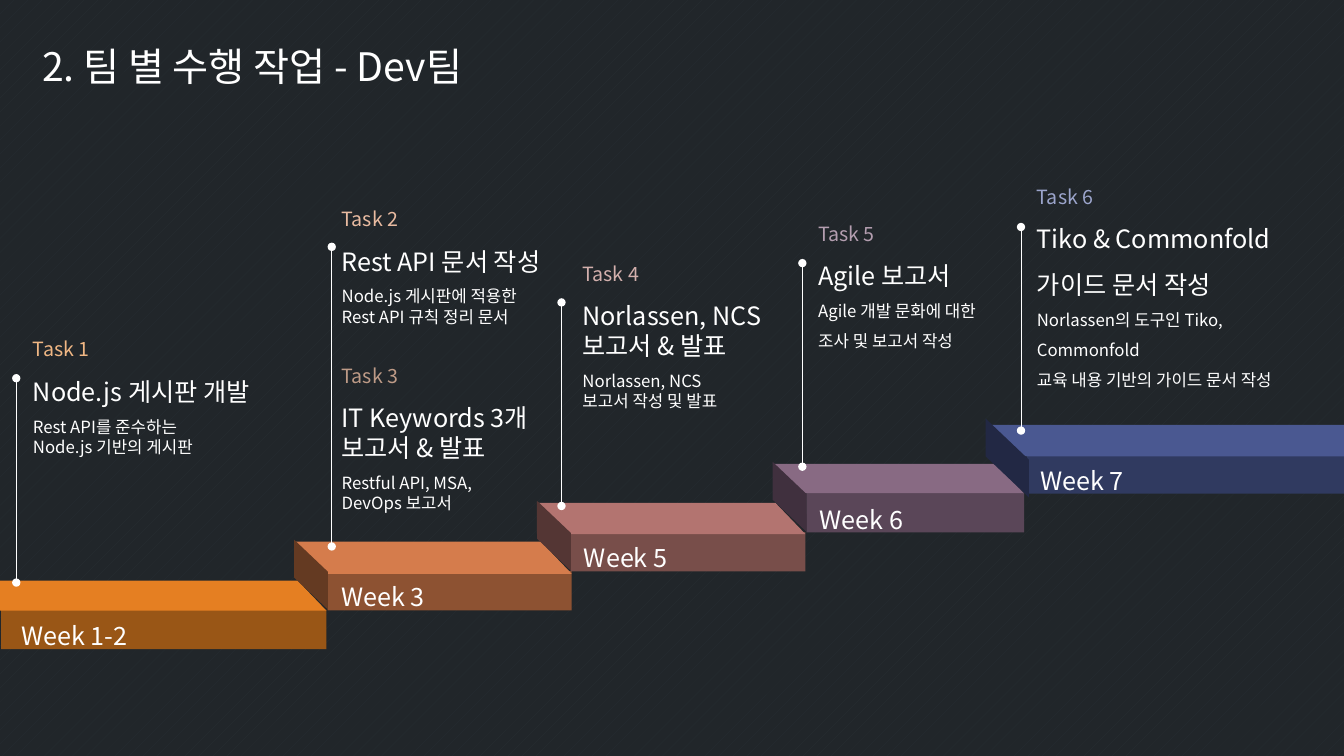
from pptx import Presentation
from pptx.dml.color import RGBColor
from pptx.enum.dml import MSO_PATTERN
from pptx.enum.shapes import MSO_CONNECTOR, MSO_SHAPE
from pptx.enum.text import MSO_AUTO_SIZE, PP_ALIGN
from pptx.oxml.ns import qn
from pptx.util import Cm, Pt
from lxml.etree import SubElement

COLORS = {
    "dots": "282F34", "back": "21262A", "white": "FFFFFF",
    "Task 1": "F0B784", "Task 2": "E9BBA1", "Task 3": "BE9B87",
    "Task 4": "D3B0AD", "Task 5": "B49EB0", "Task 6": "9CA5CC",
}
FONT = "Noto Sans CJK KR"
LOOSE = 1.5

FIRST_TOP, RISE = 15.37, 0.98
FRONT_HEIGHT, PLATE_RISE = 0.99, 0.74
# week, left, width, lead of the plate, plate height, label offset, front / plate / side colours
STEPS = [
    ("Week 1-2", 0.03, 8.20, 0.84, 0.76, 0.10, "995616", "E57F22", None),
    ("Week 3", 8.26, 6.15, 0.84, 0.81, -0.35, "8D5232", "D57C4C", "643A22"),
    ("Week 5", 14.38, 5.92, 0.84, 0.79, -0.35, "784E4A", "B37470", "543634"),
    ("Week 6", 20.32, 5.49, 0.84, 0.74, -0.35, "5A4658", "886A83", "40303E"),
    ("Week 7", 25.88, 8.94, 0.99, 0.79, -0.35, "303A60", "4A5891", "222844"),
]
# name, box, headline lines, detail lines, whether every line is loose
TASKS = [
    ("Task 1", (0.58, 8.08, 6.6, 3.58), ["Node.js 게시판 개발"],
     ["Rest API를 준수하는", "Node.js 기반의 게시판"], False),
    ("Task 2", (8.36, 4.8, 6.45, 3.58), ["Rest API 문서 작성"],
     ["Node.js 게시판에 적용한", "Rest API 규칙 정리 문서"], False),
    ("Task 3", (8.36, 8.74, 6.88, 4.37), ["IT Keywords 3개", "보고서 & 발표"],
     ["Restful API, MSA,", "DevOps 보고서"], False),
    ("Task 4", (14.43, 6.17, 6.6, 4.37), ["Norlassen, NCS", "보고서 & 발표"],
     ["Norlassen, NCS", "보고서 작성 및 발표"], False),
    ("Task 5", (20.37, 5.16, 6.6, 3.84), ["Agile 보고서"],
     ["Agile 개발 문화에 대한", "조사 및 보고서 작성"], True),
    ("Task 6", (25.88, 4.24, 7.01, 5.0), ["Tiko & Commonfold", "가이드 문서 작성"],
     ["Norlassen의 도구인 Tiko, Commonfold", "교육 내용 기반의 가이드 문서 작성"], True),
]
# x, bottom, top
PINS = [
    (8.36, 13.77, 6.22), (25.73, 10.85, 5.72), (20.22, 11.76, 6.63),
    (14.15, 12.75, 7.62), (0.41, 14.68, 9.53),
]


def set_all(target, values):
    for name, value in values.items():
        setattr(target, name, value)


class Stairway:
    """Holds the page and draws each kind of element in one style."""

    def __init__(self, page):
        self.page = page

    def background(self):
        fill = self.page.background.fill
        fill.patterned()
        fill.pattern = MSO_PATTERN.PERCENT_5
        fill.fore_color.rgb = RGBColor.from_string(COLORS["dots"])
        fill.back_color.rgb = RGBColor.from_string(COLORS["back"])

    def text(self, area, lines, align=None):
        """Lines are tuples of text, size, colour name and line spacing."""
        box = self.page.shapes.add_textbox(*map(Cm, area))
        frame = box.text_frame
        set_all(frame, {"word_wrap": True, "auto_size": MSO_AUTO_SIZE.SHAPE_TO_FIT_TEXT})
        for number, (words, size, color, spacing) in enumerate(lines):
            para = frame.add_paragraph() if number else frame.paragraphs[0]
            set_all(para, {"alignment": align, "line_spacing": spacing})
            span = para.add_run()
            span.text = words
            set_all(span.font, {"name": FONT, "size": Pt(size)})
            span.font.color.rgb = RGBColor.from_string(COLORS[color])
            SubElement(span.font._element, qn("a:ea"), typeface=FONT)

    def solid(self, group, kind, area, color):
        shape = group.shapes.add_shape(kind, *map(Cm, area))
        shape.shadow.inherit = False
        shape.fill.solid()
        shape.fill.fore_color.rgb = RGBColor.from_string(color)
        shape.line.fill.background()
        return shape

    def slanted(self, group, area, color, slant, turn=0):
        shape = self.solid(group, MSO_SHAPE.PARALLELOGRAM, area, color)
        shape.adjustments[0] = slant
        shape.rotation = turn
        shape._element.spPr.find(qn("a:xfrm")).set("flipH", "1")

    def step(self, left, top, width, lead, plate_height, front, plate, side):
        group = self.page.shapes.add_group_shape()
        self.solid(group, MSO_SHAPE.RECTANGLE, (left, top, width, FRONT_HEIGHT), front)
        self.slanted(group, (left - lead, top - PLATE_RISE, width + lead, plate_height),
                     plate, 0.96)
        if side:
            length, depth = lead * 2.18, 0.69
            middle_x, middle_y = left - lead / 2, top + 0.09
            self.slanted(group, (middle_x - length / 2, middle_y - depth / 2, length, depth),
                         side, 0.95, 43.5)

    def pin(self, x, bottom, top):
        pin = self.page.shapes.add_connector(
            MSO_CONNECTOR.STRAIGHT, Cm(x), Cm(bottom), Cm(x), Cm(top))
        pin.line.width = Pt(0.5)
        pin.line.color.rgb = RGBColor.from_string(COLORS["white"])
        for end in ("a:headEnd", "a:tailEnd"):
            SubElement(pin.line._get_or_add_ln(), qn(end), type="oval")
        SubElement(pin._element.spPr, qn("a:effectLst"))


def main():
    deck = Presentation()
    set_all(deck, {"slide_width": Cm(33.87), "slide_height": Cm(19.05)})
    stairway = Stairway(deck.slides.add_slide(deck.slide_layouts[6]))
    stairway.background()
    stairway.text((0.81, 0.94, 19.91, 1.45),
                  [("2. 팀 별 수행 작업 - Dev팀", 28, "white", None)])

    tops = [FIRST_TOP - RISE * number for number in range(len(STEPS))]
    for top, (_, left, width, lead, plate_height, _, *colors) in zip(tops, STEPS):
        stairway.step(left, top, width, lead, plate_height, *colors)
    for top, (week, left, _, _, _, offset, *_) in zip(tops, STEPS):
        stairway.text((left + offset, top - 0.24, 3.48, 1.3),
                      [(week, 18, "white", LOOSE)], PP_ALIGN.CENTER)

    for name, area, headline, details, all_loose in TASKS:
        lines = [(name, 14, name, LOOSE)]
        for size, block in ((18, headline), (12, details)):
            for number, words in enumerate(block):
                spacing = LOOSE if all_loose or number == 0 else None
                lines.append((words, size, "white", spacing))
        stairway.text(area, lines)
    for pin in PINS:
        stairway.pin(*pin)
    deck.save("out.pptx")


if __name__ == "__main__":
    main()
